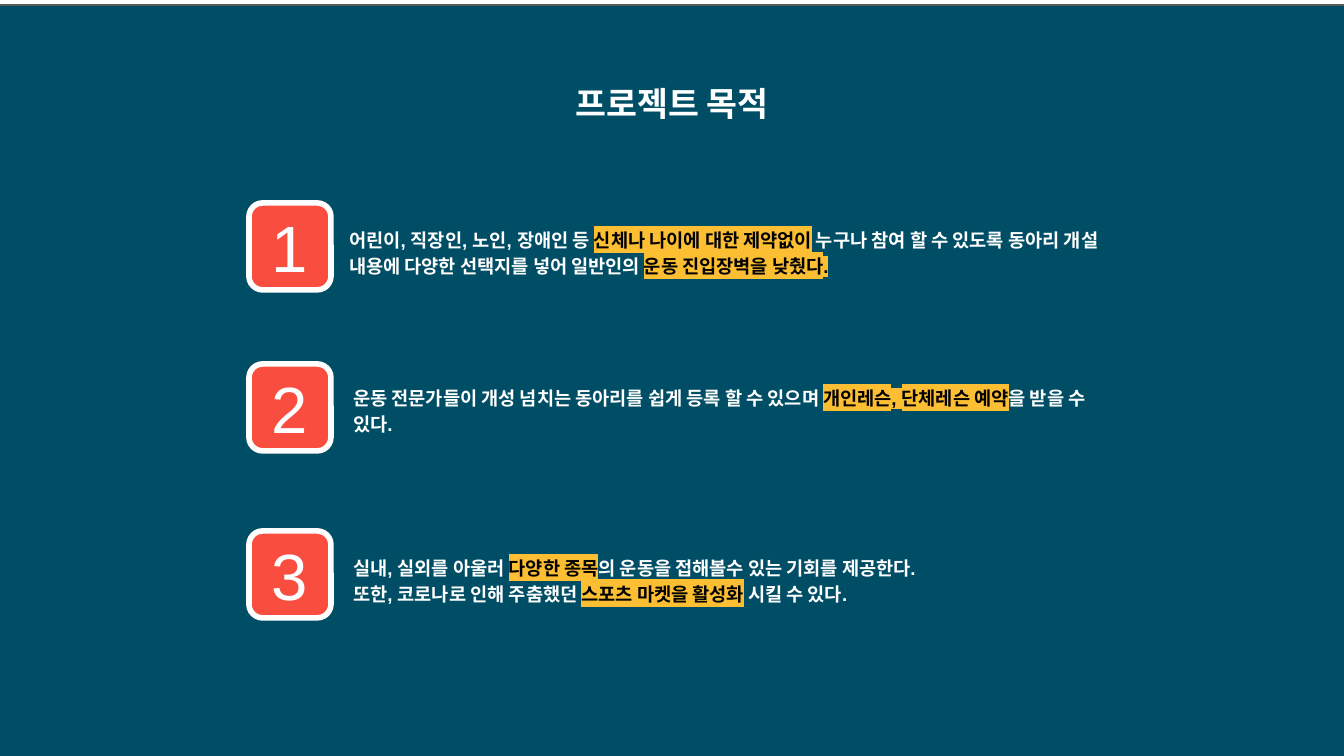
from dataclasses import dataclass

from lxml.etree import SubElement
from pptx import Presentation
from pptx.dml.color import RGBColor
from pptx.enum.shapes import MSO_SHAPE
from pptx.enum.text import MSO_ANCHOR, MSO_AUTO_SIZE, PP_ALIGN
from pptx.oxml.ns import qn
from pptx.util import Emu, Inches, Pt

EMU_PER_PX = 914400 / 134.4


@dataclass(frozen=True)
class Theme:
    panel: str = "004E66"
    panel_line: str = "595959"
    badge: str = "F94E3F"
    light: str = "FFFFFF"
    dark: str = "000000"
    marker: str = "FCBE32"
    korean: str = "Noto Sans CJK KR"
    latin: str = "Arial"
    title_size: int = 18
    number_size: int = 35
    purpose_size: int = 10


THEME = Theme()

# Badge top, then text left, top and width, then paragraphs; |bars| enclose marked words.
PURPOSES = [
    (203, 336, 212, 781, [
        "어린이, 직장인, 노인, 장애인 등 |신체나 나이에 대한 제약없이| 누구나 참여 할 수 있도록 "
        "동아리 개설 내용에 다양한 선택지를 넣어 일반인의 |운동 진입장벽을 낮췄다.|"]),
    (364, 340, 370, 763, [
        "운동 전문가들이 개성 넘치는 동아리를 쉽게 등록 할 수 있으며 "
        "|개인레슨, 단체레슨 예약|을 받을 수 있다."]),
    (531, 340, 540, 774, [
        "실내, 실외를 아울러 |다양한 종목|의 운동을 접해볼수 있는 기회를 제공한다.",
        "또한, 코로나로 인해 주춤했던 |스포츠 마켓을 활성화| 시킬 수 있다."]),
]


def px(length):
    return Emu(round(length * EMU_PER_PX))


def box(left, top, width, height):
    return px(left), px(top), px(width), px(height)


def add_panel(shapes, kind, bounds, fill, line, line_width):
    panel = shapes.add_shape(kind, *box(*bounds))
    panel.shadow.inherit = False
    panel.fill.solid()
    panel.fill.fore_color.rgb = RGBColor.from_string(fill)
    panel.line.color.rgb = RGBColor.from_string(line)
    panel.line.width = Pt(line_width)
    return panel


def add_run(paragraph, words, size, bold, latin, marked):
    run = paragraph.add_run()
    run.text = words
    run.font.size = Pt(size)
    run.font.bold = bold
    run.font.name = latin
    run.font.color.rgb = RGBColor.from_string(THEME.dark if marked else THEME.light)
    properties = run.font._element if hasattr(run.font, "_element") else run._r.get_or_add_rPr()
    east_asian = SubElement(properties, qn("a:ea"))
    east_asian.set("typeface", THEME.korean)
    if marked:
        highlight = SubElement(properties, qn("a:highlight"))
        SubElement(highlight, qn("a:srgbClr")).set("val", THEME.marker)
        properties.find(qn("a:solidFill")).addnext(highlight)


def write(shape, paragraphs, *, size, bold=False, latin=THEME.latin,
          align=PP_ALIGN.LEFT, spacing=1.0):
    """Fill the shape with paragraphs, highlighting the words between bars."""
    frame = shape.text_frame
    frame.word_wrap = True
    frame.auto_size = MSO_AUTO_SIZE.NONE
    frame.vertical_anchor = MSO_ANCHOR.TOP
    frame.margin_left = frame.margin_right = Inches(0.1)
    frame.margin_top = frame.margin_bottom = Inches(0.1)
    for index, text in enumerate(paragraphs):
        paragraph = frame.add_paragraph() if index else frame.paragraphs[0]
        paragraph.alignment = align
        paragraph.line_spacing = spacing
        for part, words in enumerate(text.split("|")):
            if words:
                add_run(paragraph, words, size, bold, latin, marked=part % 2 == 1)


def add_background(slide):
    background = add_panel(slide.shapes, MSO_SHAPE.RECTANGLE, (-4, 5, 1351, 766),
                           THEME.panel, THEME.panel_line, 0.75)
    slide.shapes.title._element.addprevious(background._element)


def add_title(slide, text):
    title = slide.shapes.title
    title.left, title.top, title.width, title.height = box(539, 69, 266, 74)
    write(title, [text], size=THEME.title_size, bold=True, latin=THEME.korean,
          align=PP_ALIGN.CENTER)


def add_badge(slide, number, top):
    badge = slide.shapes.add_group_shape()
    add_panel(badge.shapes, MSO_SHAPE.ROUNDED_RECTANGLE, (249, top, 82, 87),
              THEME.badge, THEME.light, 3)
    label = badge.shapes.add_textbox(*box(258, top - 9, 82, 105))
    write(label, [str(number)], size=THEME.number_size)


def add_purpose(slide, left, top, width, paragraphs):
    purpose = slide.shapes.add_textbox(*box(left, top, width, 98))
    write(purpose, paragraphs, size=THEME.purpose_size, bold=True, spacing=1.15)


def main():
    deck = Presentation()
    deck.slide_width, deck.slide_height = px(1344), px(756)
    slide = deck.slides.add_slide(deck.slide_layouts[5])
    add_background(slide)
    add_title(slide, "프로젝트 목적")
    for number, (badge_top, left, top, width, paragraphs) in enumerate(PURPOSES, start=1):
        add_badge(slide, number, badge_top)
        add_purpose(slide, left, top, width, paragraphs)
    deck.save("out.pptx")


if __name__ == "__main__":
    main()
